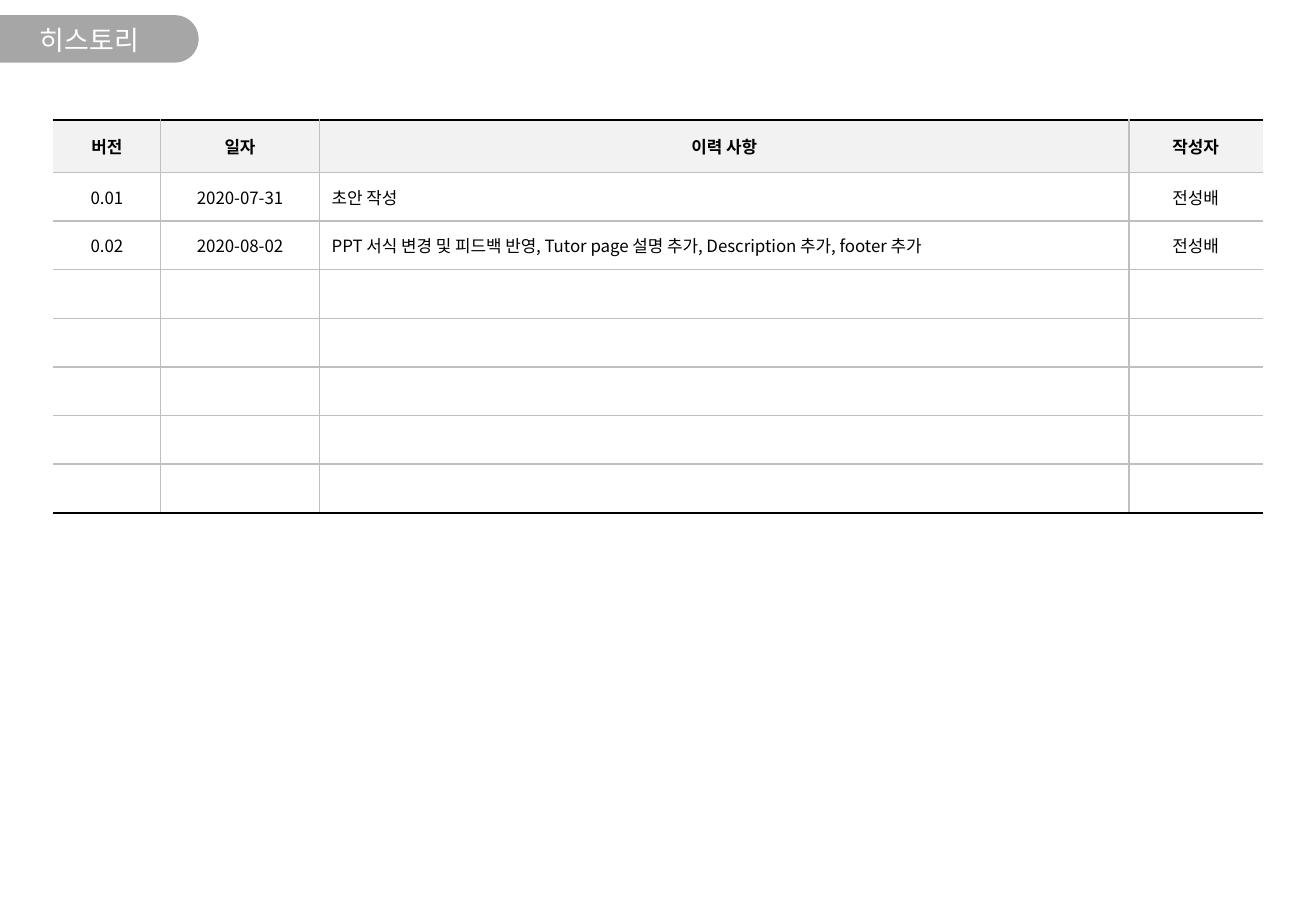
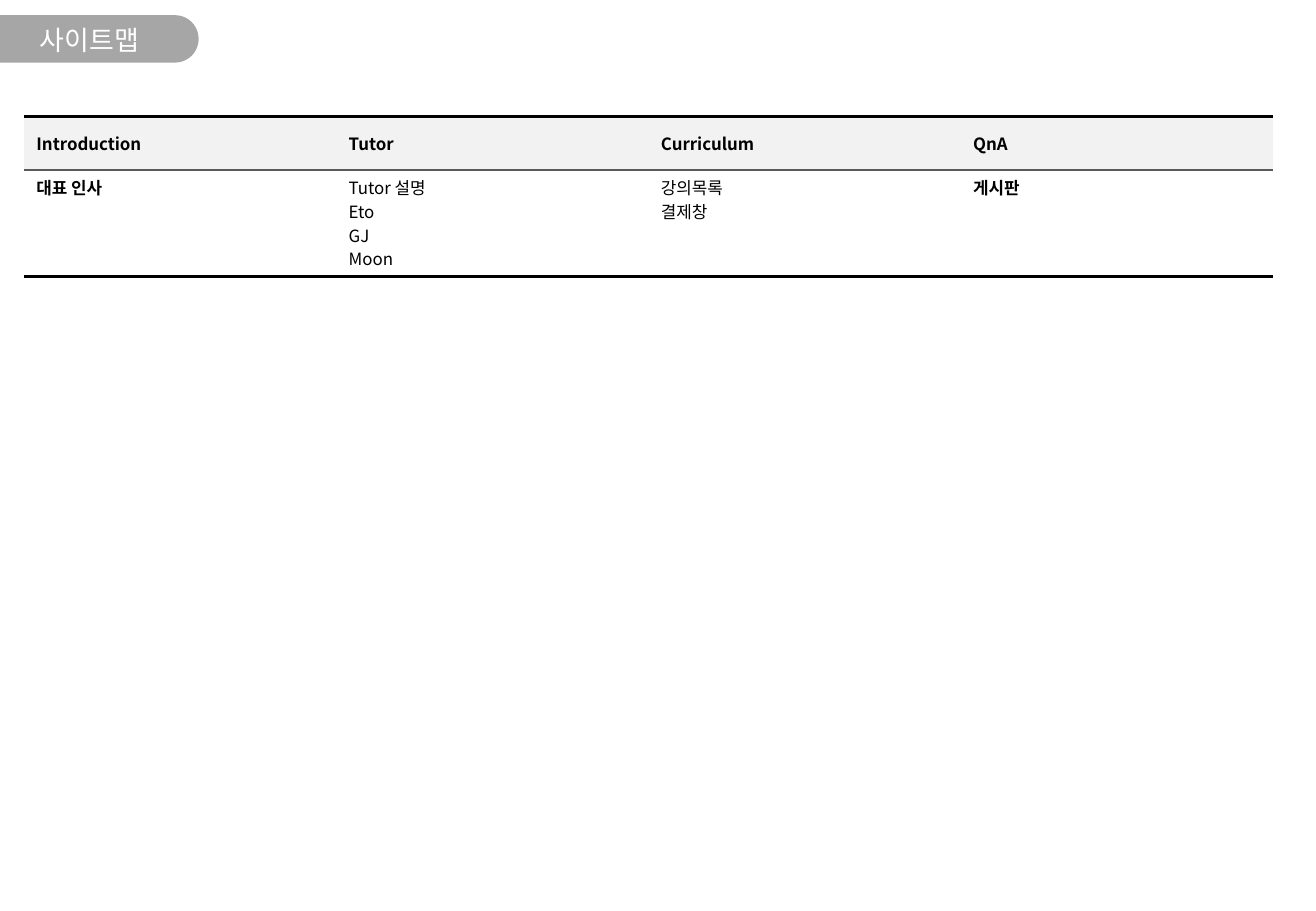
from lxml import etree
from pptx import Presentation
from pptx.dml.color import RGBColor
from pptx.enum.shapes import MSO_SHAPE
from pptx.enum.text import MSO_ANCHOR, MSO_AUTO_SIZE, PP_ALIGN
from pptx.oxml.ns import qn
from pptx.util import Inches, Pt

CENTER, LEFT = PP_ALIGN.CENTER, PP_ALIGN.LEFT
MIDDLE, TOP = MSO_ANCHOR.MIDDLE, MSO_ANCHOR.TOP
NO_FIT = MSO_AUTO_SIZE.NONE
TAB = MSO_SHAPE.ROUND_2_SAME_RECTANGLE
FONT = "Noto Sans CJK KR"
NO_GRID = "{2D5ABB26-0587-4C30-8999-92F81FD0307C}"
COLORS = {"band": "A6A6A6", "head": "F2F2F2", "grid": "BFBFBF",
          "rule": "595959", "black": "000000", "white": "FFFFFF"}


def add_run(p, text, size, color, bold=False):
    r = p.add_run()
    r.text = text
    r.font.size = Pt(size)
    r.font.bold = bold
    r.font.color.rgb = RGBColor.from_string(COLORS[color])
    r.font.name = FONT
    etree.SubElement(r.font._element, qn("a:ea"), typeface=FONT)


def add_border(cell, side, color, width):
    ln = etree.SubElement(cell._tc.get_or_add_tcPr(), qn("a:ln" + side), w=str(Pt(width)))
    fill = etree.SubElement(ln, qn("a:solidFill"))
    etree.SubElement(fill, qn("a:srgbClr"), val=COLORS[color])


prs = Presentation()
prs.slide_width, prs.slide_height = Inches(10.83), Inches(7.5)
layout = prs.slide_layouts[5]
title = layout.placeholders[0]
title.left, title.top = Inches(-0.01), Inches(0.13)
title.width, title.height = Inches(1.49), Inches(0.39)

history = {
    "title": "히스토리", "at": (0.44, 0.99), "cols": [0.88, 1.31, 6.66, 1.1],
    "rows": [0.43] + [0.4] * 7, "edge": 1.5, "rule": "grid", "grid": True,
    "align": [CENTER, CENTER, LEFT, CENTER], "head_align": CENTER,
    "anchor": MIDDLE, "spacing": None, "bold": [],
    "text": [
        ["버전", "일자", "이력 사항", "작성자"],
        ["0.01", "2020-07-31", "초안 작성", "전성배"],
        ["0.02", "2020-08-02",
         "PPT 서식 변경 및 피드백 반영, Tutor page 설명 추가, Description 추가, footer 추가",
         "전성배"],
    ],
}
sitemap = {
    "title": "사이트맵", "at": (0.2, 0.96), "cols": [2.57] * 4,
    "rows": [0.44, 0.87], "edge": 2, "rule": "rule", "grid": False,
    "align": [LEFT] * 4, "head_align": LEFT,
    "anchor": TOP, "spacing": Pt(14), "bold": ["대표 인사", "게시판"],
    "text": [
        ["Introduction", "Tutor", "Curriculum", "QnA"],
        ["대표 인사", "Tutor 설명\nEto\nGJ\nMoon", "강의목록\n결제창", "게시판"],
    ],
}

for page in (history, sitemap):
    s = prs.slides.add_slide(layout)
    if page is history:
        band = s.shapes.add_shape(TAB, Inches(0.62), Inches(-0.5), Inches(0.39), Inches(1.64))
        band.rotation = 270
        band.adjustments[0], band.adjustments[1] = 0, 0.5
        band.shadow.inherit = False
        band.fill.solid()
        band.fill.fore_color.rgb = RGBColor.from_string(COLORS["band"])
        band.line.fill.background()
        layout.shapes.element.insert(2, band.element)

    tf = s.shapes.title.text_frame
    tf.auto_size = NO_FIT
    tf.vertical_anchor = MIDDLE
    p = tf.paragraphs[0]
    p.alignment = CENTER
    add_run(p, page["title"], 16, "white")

    cols, rows = page["cols"], page["rows"]
    left, top = page["at"]
    table = s.shapes.add_table(len(rows), len(cols), Inches(left), Inches(top),
                               Inches(sum(cols)), Inches(sum(rows))).table
    table.horz_banding = False
    table._tbl.tblPr.find(qn("a:tableStyleId")).text = NO_GRID
    for col, width in zip(table.columns, cols):
        col.width = Inches(width)
    for row, height in zip(table.rows, rows):
        row.height = Inches(height)

    for i in range(len(rows)):
        head, last = i == 0, i == len(rows) - 1
        for j in range(len(cols)):
            cell = table.cell(i, j)
            if page["grid"] and j > 0:
                add_border(cell, "L", "grid", 1)
            if page["grid"] and j < len(cols) - 1:
                add_border(cell, "R", "grid", 1)
            for side, outer in (("T", head), ("B", last)):
                add_border(cell, side, "black" if outer else page["rule"],
                           page["edge"] if outer else 1)
            cell.fill.solid()
            cell.fill.fore_color.rgb = RGBColor.from_string(COLORS["head" if head else "white"])
            cell.vertical_anchor = MIDDLE if head else page["anchor"]
            tf = cell.text_frame
            if i >= len(page["text"]):
                etree.SubElement(tf.paragraphs[0]._p, qn("a:endParaRPr"), sz="1000")
                continue
            for n, line in enumerate(page["text"][i][j].split("\n")):
                p = tf.add_paragraph() if n else tf.paragraphs[0]
                p.alignment = page["head_align"] if head else page["align"][j]
                if not head:
                    p.line_spacing = page["spacing"]
                add_run(p, line, 10, "black", head or line in page["bold"])

prs.save("out.pptx")
